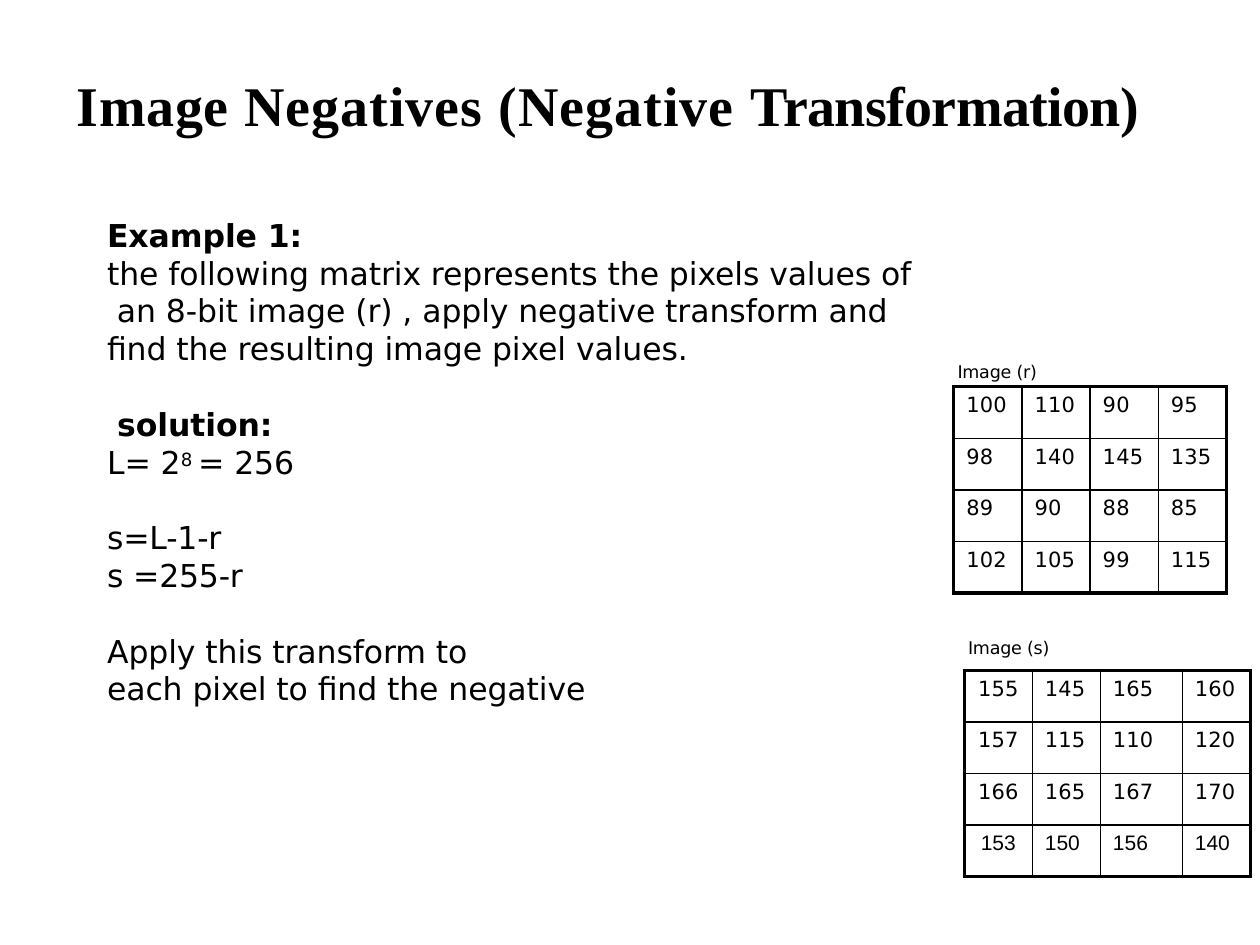
from lxml.etree import SubElement as Sub
from pptx import Presentation as Deck
from pptx.dml.color import RGBColor
from pptx.enum.text import MSO_ANCHOR as Anchor, MSO_AUTO_SIZE as Auto, PP_ALIGN as Align
from pptx.oxml.ns import qn
from pptx.util import Pt

BLACK = RGBColor(0, 0, 0)
SANS, SERIF, ARIAL = "DejaVu Sans", "Times New Roman", "Arial"
PIXELS = [[100, 110, 90, 95], [98, 140, 145, 135], [89, 90, 88, 85], [102, 105, 99, 115]]
TOP = 255
CELL = 29.5
LINE = 21.6


def write(para, text, font=SANS, size=18, bold=False, gap=-0.05, lift=0):
    """Add text to a paragraph, with each newline as a line break."""
    for num, part in enumerate(text.split("\n")):
        if num:
            para.add_line_break()
        run = para.add_run()
        run.text = part
        run.font.name, run.font.size, run.font.bold = font, Pt(size), bold
        run.font.color.rgb = BLACK
        props = run._r.get_or_add_rPr()
        props.set("spc", str(round(gap * 100)))
        if lift:
            props.set("baseline", str(lift * 1000))


def layout(para, indent=0, before=0, line=None, align=Align.LEFT):
    """Set the indent, spacing and alignment of a paragraph."""
    props = para._p.get_or_add_pPr()
    props.set("marL", str(Pt(indent)))
    props.set("indent", "0")
    para.alignment = align
    para.space_before = Pt(before)
    if line:
        para.line_spacing = Pt(line)
    return para


def trim(frame, anchor=Anchor.TOP):
    """Give a text frame its narrow margins."""
    frame.margin_left = frame.margin_right = frame.margin_bottom = 0
    frame.margin_top = Pt(0.9)
    frame.word_wrap = True
    frame.auto_size = Auto.NONE
    frame.vertical_anchor = anchor


def add_title(slide):
    """Fill the title placeholder."""
    title = slide.shapes.title
    title.left, title.top, title.width, title.height = map(Pt, (42.5, 39, 609, 40.3))
    trim(title.text_frame, Anchor.MIDDLE)
    para = layout(title.text_frame.paragraphs[0], 0.7, 1.1, align=Align.CENTER)
    for text, gap in (("Image ", 0.4), ("Negatives (Negative ", 0.6), ("Transformation)", -0.4)):
        write(para, text, font=SERIF, size=32, bold=True, gap=gap)


def add_text(slide, spot, paras, line=LINE):
    """Add a box of paragraphs, each an indent, a space before and its runs."""
    frame = slide.shapes.add_textbox(*map(Pt, spot)).text_frame
    trim(frame)
    for num, (indent, before, runs) in enumerate(paras):
        para = frame.add_paragraph() if num else frame.paragraphs[0]
        layout(para, indent, before, line)
        for text, style in runs:
            write(para, text, **style)


def edge(cell, side, width):
    """Draw one border of a cell."""
    props = cell._tc.get_or_add_tcPr()
    rule = Sub(props, qn(f"a:ln{side}"), w=str(Pt(width)))
    fill = Sub(rule, qn("a:solidFill"))
    Sub(fill, qn("a:srgbClr"), val=str(BLACK))


def add_grid(slide, left, top, wides, rows, center=False, last=SANS):
    """Add a matrix as a table with a thick outer frame."""
    high, wide = len(rows), len(wides)
    spot = map(Pt, (left, top, sum(wides), high * CELL))
    grid = slide.shapes.add_table(high, wide, *spot).table
    grid.first_row = grid.horz_banding = False
    for col, width in zip(grid.columns, wides):
        col.width = Pt(width)
    for y, row in enumerate(rows):
        grid.rows[y].height = Pt(CELL)
        end = y == high - 1
        for x, value in enumerate(row):
            cell = grid.cell(y, x)
            cell.margin_left = cell.margin_right = cell.margin_bottom = 0
            cell.margin_top = Pt(3.6)
            mid = center and x == 0
            para = layout(cell.text_frame.paragraphs[0], 0 if mid else 7.2, 3.5,
                          align=Align.CENTER if mid else Align.LEFT)
            write(para, str(value), font=last if end else SANS, size=12,
                  gap=0 if end and last != SANS else 0.1)
            outer = {"L": x == 0, "R": x == wide - 1, "T": y == 0, "B": end}
            for side, thick in outer.items():
                edge(cell, side, 2.25 if thick else 1)
            cell.fill.background()


def main():
    """Build the slide and save it."""
    deck = Deck()
    deck.slide_width, deck.slide_height = Pt(720), Pt(540)
    slide = deck.slides.add_slide(deck.slide_layouts[5])
    add_title(slide)

    bold = {"bold": True}
    task = ("the following matrix represents the pixels values of\n"
            " an 8-bit image (r) , apply negative transform and\n"
            "find the resulting image pixel values.")
    add_text(slide, (60.5, 122.4, 467.3, 88.6),
             [(0.7, 1, [("Example 1:", bold)]), (0.7, 0, [(task, {})])])
    add_text(slide, (56.9, 230.4, 118, 110.2), [
        (10.1, 1, [("solution:", bold)]),
        (4.3, 0, [("L= 2", {}), ("8 ", {"lift": 25}), ("= 256", {})]),
        (4.3, LINE, [("s=L-1-r\ns =255-r", {"gap": -0.1})]),
    ])
    add_text(slide, (60.5, 360, 278, 45.4), [
        (0.7, 1, [("Apply this transform to", {})]),
        (0.7, 0, [("each pixel to find the negative", {})]),
    ])

    output = [[TOP - value for value in row] for row in PIXELS]
    add_grid(slide, 545, 221, [39] * 4, PIXELS)
    add_grid(slide, 551, 383, [38.9, 38.9, 46.8, 38.9], output, center=True, last=ARIAL)
    for left, top, name in ((546.5, 205.2, "Image (r)"), (552.5, 362.9, "Image (s)")):
        add_text(slide, (left, top, 52, 13.7),
                 [(0.7, 0.9, [(name, {"size": 10, "gap": -0.1})])], line=None)
    deck.save("out.pptx")


if __name__ == "__main__":
    main()
